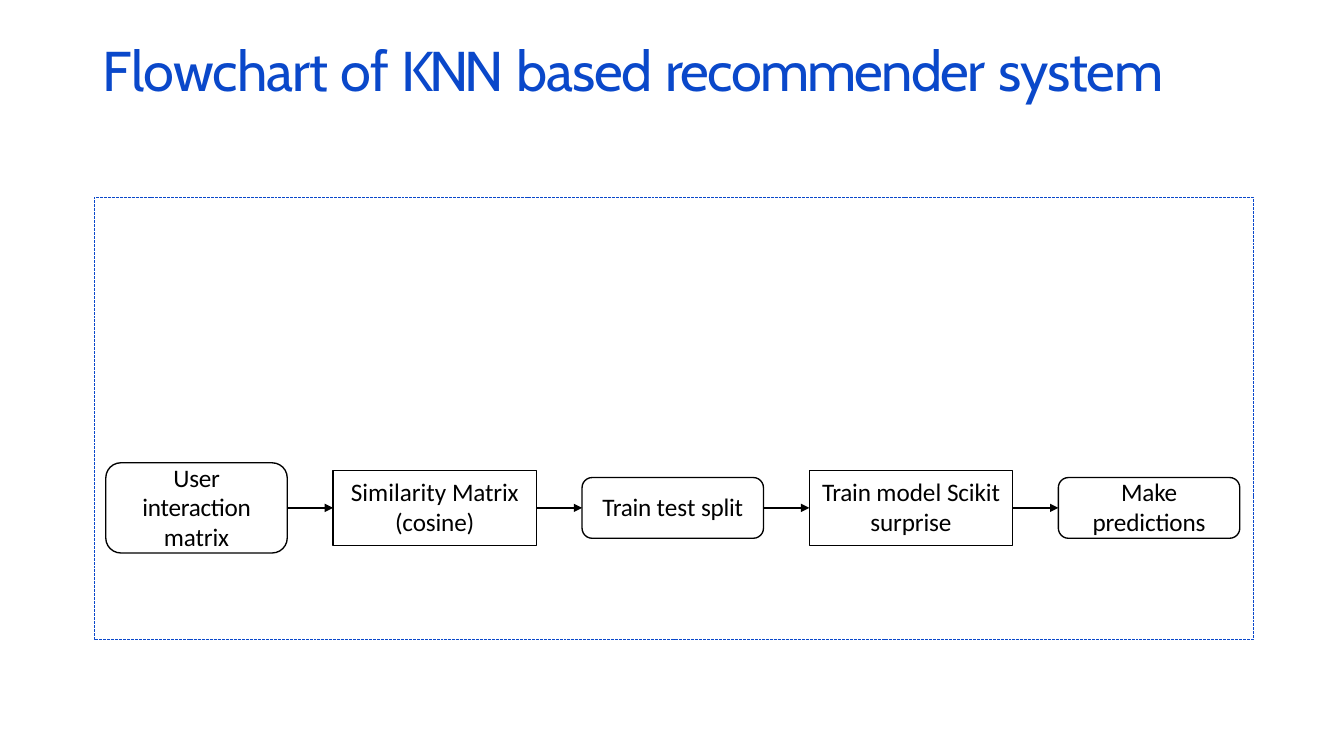
from dataclasses import dataclass

from lxml.etree import SubElement
from pptx import Presentation
from pptx.dml.color import RGBColor
from pptx.enum.dml import MSO_LINE_DASH_STYLE as Dash
from pptx.enum.shapes import MSO_CONNECTOR as Connector, MSO_SHAPE as Shape
from pptx.enum.text import MSO_ANCHOR as Anchor, PP_ALIGN as Align
from pptx.oxml.ns import qn
from pptx.util import Pt

# Each run is (text, letter spacing in points).
TITLE = [("Flowchart ", -0.6), ("of ", 0), ("KNN", -3.1), (" ", 0), ("based", -0.9),
         (" ", 0), ("recommender", -1.2), (" ", 0), ("system", -0.8)]

# Each step: runs, shape, height, side inset.
STEPS = [
    ([("User interaction ", -0.2), ("matrix", -0.1)], Shape.ROUNDED_RECTANGLE, 64.4, 16),
    ([("Similarity ", 0), ("Matrix (cosine)", -0.1)], Shape.RECTANGLE, 53.4, 0),
    ([("Train ", -0.2), ("test ", 0), ("split", -0.2)], Shape.ROUNDED_RECTANGLE, 43.4, 0),
    ([("Train ", -0.2), ("model ", 0), ("Scikit surprise", -0.1)], Shape.RECTANGLE, 53.4, 0),
    ([("Make ", -0.2), ("predictions", -0.1)], Shape.ROUNDED_RECTANGLE, 43.4, 16),
]


@dataclass(frozen=True)
class Theme:
    blue: RGBColor = RGBColor(0x0A, 0x48, 0xCA)
    black: RGBColor = RGBColor(0, 0, 0)
    title_font: str = "Cabin"
    body_font: str = "Calibri"
    title_size: float = 40
    body_size: float = 18
    body_spacing: float = 0.98
    frame_line: float = 0.72
    box_line: float = 0.96
    arrow_line: float = 1.44


THEME = Theme()
STEP_WIDTHS = {Shape.ROUNDED_RECTANGLE: 129.6, Shape.RECTANGLE: 145.2}
FLOW_LEFT, FLOW_MIDDLE, FLOW_GAP = 75.6, 362.8, 32.7


def write(box, runs, *, font, size, color, align=Align.LEFT, anchor=Anchor.TOP,
          left=0, right=0, top=0, line_spacing=1.0):
    frame = box.text_frame
    frame.word_wrap = True
    frame.vertical_anchor = anchor
    frame.margin_left, frame.margin_right = Pt(left), Pt(right)
    frame.margin_top, frame.margin_bottom = Pt(top), Pt(0)
    para = frame.paragraphs[0]
    para.alignment = align
    para.line_spacing = line_spacing
    for text, spacing in runs:
        span = para.add_run()
        span.text = text
        span.font.name, span.font.size = font, Pt(size)
        span.font.color.rgb = color
        span._r.get_or_add_rPr().set("spc", str(round(spacing * 100)))


def add_outline(page, kind, left, top, width, height, color, weight):
    """Add an unfilled shape with a coloured border."""
    box = page.shapes.add_shape(kind, Pt(left), Pt(top), Pt(width), Pt(height))
    box.shadow.inherit = False
    box.fill.background()
    box.line.color.rgb = color
    box.line.width = Pt(weight)
    return box


def add_arrow(page, source, target):
    """Join the right side of source to the left side of target."""
    arrow = page.shapes.add_connector(Connector.STRAIGHT, 0, 0, 0, 0)
    arrow.begin_connect(source, 3)
    arrow.end_connect(target, 1)
    arrow.line.color.rgb = THEME.black
    arrow.line.width = Pt(THEME.arrow_line)
    outline = arrow._element.spPr.find(qn("a:ln"))
    SubElement(outline, qn("a:tailEnd"), type="triangle")
    SubElement(arrow._element.spPr, qn("a:effectLst"))


def add_flow(page):
    left, boxes = FLOW_LEFT, []
    for runs, kind, height, inset in STEPS:
        width = STEP_WIDTHS[kind]
        box = add_outline(page, kind, left, FLOW_MIDDLE - height / 2, width, height,
                          THEME.black, THEME.box_line)
        write(box, runs, font=THEME.body_font, size=THEME.body_size, color=THEME.black,
              align=Align.CENTER, anchor=Anchor.MIDDLE, left=inset, right=inset,
              line_spacing=THEME.body_spacing)
        boxes.append(box)
        left += width + FLOW_GAP
    for source, target in zip(boxes, boxes[1:]):
        add_arrow(page, source, target)


def main():
    deck = Presentation()
    deck.slide_width, deck.slide_height = Pt(960), Pt(540)
    page = deck.slides.add_slide(deck.slide_layouts[6])

    title = page.shapes.add_textbox(Pt(67), Pt(24), Pt(815), Pt(93))
    write(title, TITLE, font=THEME.title_font, size=THEME.title_size,
          color=THEME.blue, left=6.5, top=1.5)

    frame = add_outline(page, Shape.RECTANGLE, 67.2, 141, 828, 316,
                        THEME.blue, THEME.frame_line)
    frame.line.dash_style = Dash.SQUARE_DOT

    add_flow(page)
    deck.save("out.pptx")


if __name__ == "__main__":
    main()
